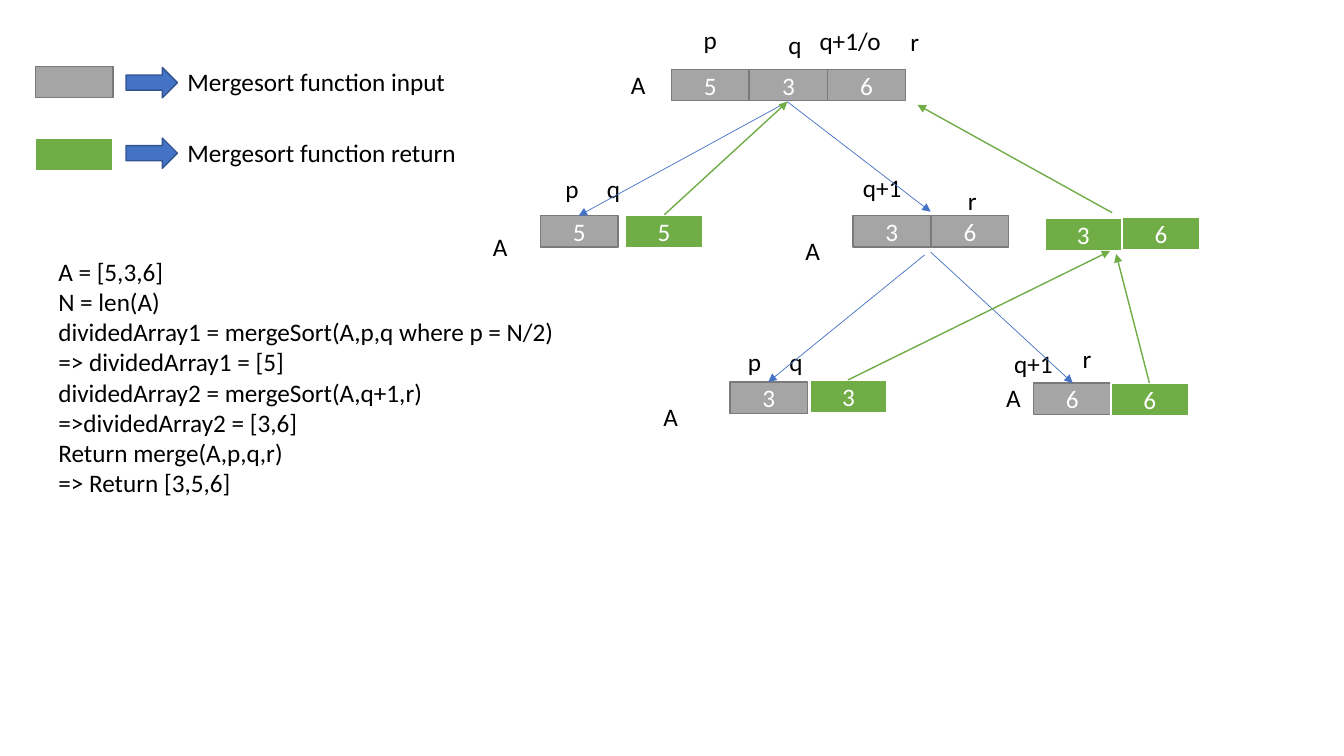
from lxml.etree import SubElement
from pptx import Presentation
from pptx.dml.color import RGBColor
from pptx.enum.shapes import MSO_CONNECTOR, MSO_SHAPE
from pptx.enum.text import MSO_ANCHOR, PP_ALIGN
from pptx.oxml.ns import qn
from pptx.util import Inches, Pt

HUE = {"grey": "A5A5A5", "edge": "7A7A7A", "green": "70AD47", "blue": "4472C4",
       "navy": "325491", "white": "FFFFFF", "black": "000000"}

deck = Presentation()
deck.slide_width, deck.slide_height = Inches(13.33), Inches(7.5)
slide = deck.slides.add_slide(deck.slide_layouts[6])
shapes = slide.shapes

# Grid: 133.3 columns by 75 rows of square units
UNIT = deck.slide_height / 75
CELL = 7.75  # pitch of the array cells
WIDE = 7.7
STYLE = {"input": ("grey", "edge", 1, 3.1),
         "return": ("green", "white", 1.5, 3.3),
         "arrow": ("blue", "navy", 1, 3)}


def write(shape, text, hue="black", align=PP_ALIGN.LEFT, anchor=MSO_ANCHOR.TOP, size=18):
    frame = shape.text_frame
    frame.word_wrap = True
    frame.vertical_anchor = anchor
    frame.text = text
    for para in frame.paragraphs:
        para.alignment = align
        para.font.size, para.font.name = Pt(size), "Calibri"
        para.font.color.rgb = RGBColor.from_string(HUE[hue])


def block(style, col, row, wide=WIDE, kind=MSO_SHAPE.RECTANGLE):
    fill, edge, weight, high = STYLE[style]
    shape = shapes.add_shape(kind, *[round(n * UNIT) for n in (col, row, wide, high)])
    shape.shadow.inherit = False
    shape.fill.solid()
    shape.fill.fore_color.rgb = RGBColor.from_string(HUE[fill])
    shape.line.color.rgb = RGBColor.from_string(HUE[edge])
    shape.line.width = Pt(weight)
    return shape


# Array cells: each run of values sits side by side
arrays = [
    ("input", 66.6, 6.9, "536"),
    ("input", 53.6, 21.4, "5"), ("input", 84.6, 21.4, "36"),
    ("input", 72.4, 37.9, "3"), ("input", 102.5, 38, "6"),
    ("return", 62, 21.3, "5"),
    ("return", 80.3, 37.7, "3"), ("return", 110.2, 38, "6"),
    ("return", 103.6, 21.6, "3"), ("return", 111.3, 21.5, "6"),
]
for style, col, row, values in arrays:
    for i, value in enumerate(values):
        write(block(style, col + i * CELL, row), value, hue="white",
              align=PP_ALIGN.CENTER, anchor=MSO_ANCHOR.MIDDLE)

# Legend
for style, row, top in (("input", 6.6, 6.7), ("return", 13.7, 13.7)):
    block(style, 3.5, row)
    block("arrow", 12.5, top, 5.1, MSO_SHAPE.RIGHT_ARROW)

code = "\n".join([
    "A = [5,3,6]",
    "N = len(A)",
    "dividedArray1 = mergeSort(A,p,q where p = N/2)",
    "=> dividedArray1 = [5]",
    "dividedArray2 = mergeSort(A,q+1,r)",
    "=>dividedArray2 = [3,6]",
    "Return merge(A,p,q,r)",
    "=> Return [3,5,6]",
])

# Labels: text, column, row, width, height
LETTER = (2.1, 4)
labels = [
    ("A", 61.6, 6.4, *LETTER), ("p", 68.8, 1.9, *LETTER), ("q", 77.2, 2.4, *LETTER),
    ("q+1/o", 80.3, 2, 11.4, 4), ("r", 89.3, 2.1, *LETTER),
    ("A", 47.9, 22.5, *LETTER), ("p", 55.1, 16.7, *LETTER), ("q", 59.2, 16.7, *LETTER),
    ("A", 78.9, 22.9, *LETTER), ("q+1", 84.6, 16.6, WIDE, 4), ("r", 95, 17.9, *LETTER),
    ("A", 64.8, 39.3, *LETTER), ("p", 73.2, 33.9, *LETTER), ("q", 77.3, 33.9, *LETTER),
    ("A", 98.8, 37.4, *LETTER), ("q+1", 99.6, 34.1, WIDE, 4), ("r", 106.4, 33.6, *LETTER),
    ("Mergesort function input", 17.6, 6.1, 27.7, 4),
    ("Mergesort function return", 17.6, 13.1, 29.1, 4),
    (code, 4.8, 24.9, 62.1, 25.2),
]
for text, *place in labels:
    write(shapes.add_textbox(*[round(n * UNIT) for n in place]), text)

# Arrows: blue for calls, green for returns
links = {
    ("blue", 0.5): [(78.1, 10.1, 57.4, 21.4), (78.1, 10.1, 92.3, 21),
                    (91.7, 25.3, 76.2, 37.9), (92.3, 25, 106.4, 38)],
    ("green", 1): [(65.9, 21.3, 78.1, 10.1), (84.1, 37.7, 110.1, 24.9),
                   (114, 38, 110.7, 25.2), (110.3, 21.1, 91, 10.4)],
}
for (hue, weight), ends in links.items():
    for end in ends:
        link = shapes.add_connector(MSO_CONNECTOR.STRAIGHT, *[round(n * UNIT) for n in end])
        link.line.color.rgb = RGBColor.from_string(HUE[hue])
        link.line.width = Pt(weight)
        SubElement(link.line._get_or_add_ln(), qn("a:tailEnd"), type="triangle")
        SubElement(link._element.spPr, qn("a:effectLst"))

deck.save("out.pptx")
